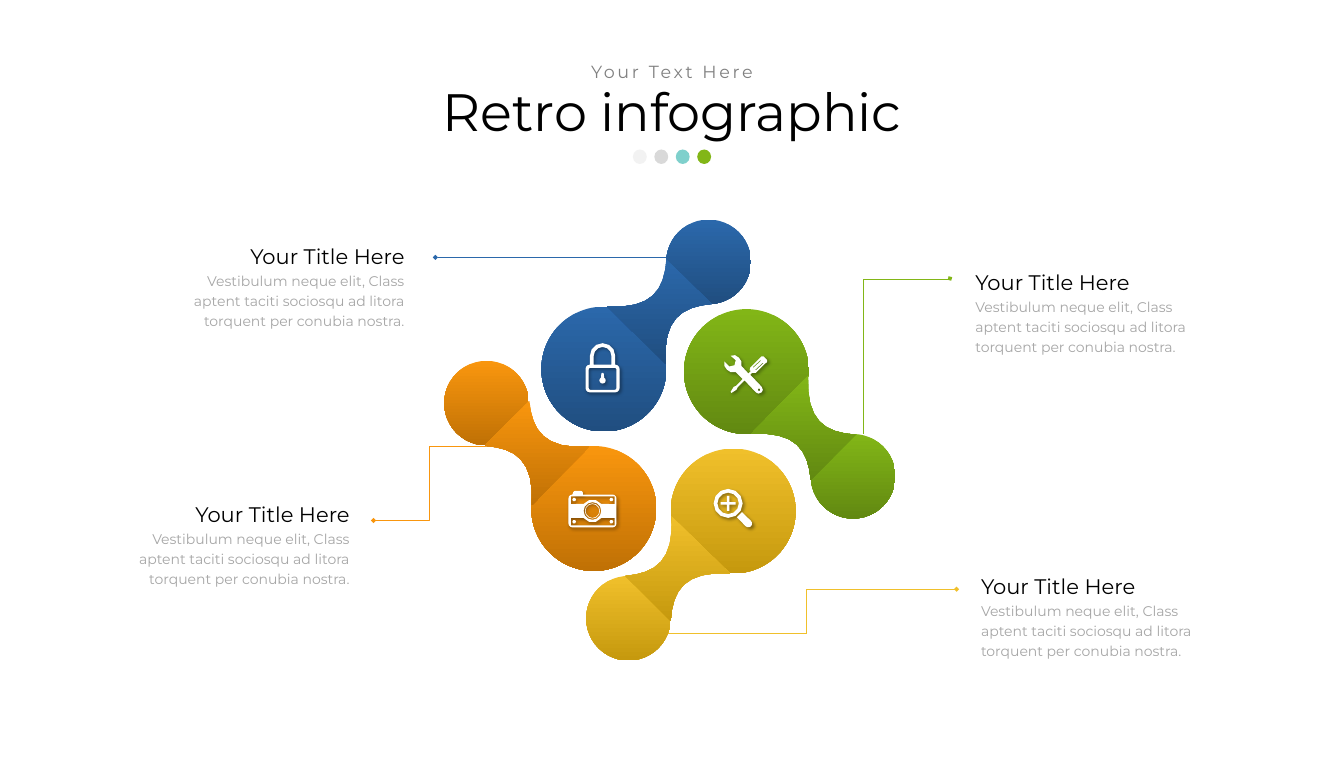
from math import cos, radians, sin

from lxml import etree
from pptx import Presentation
from pptx.dml.color import RGBColor
from pptx.enum.dml import MSO_LINE
from pptx.enum.shapes import MSO_CONNECTOR, MSO_SHAPE
from pptx.enum.text import MSO_AUTO_SIZE, PP_ALIGN
from pptx.oxml.ns import qn
from pptx.util import Inches, Pt

FONT = "Montserrat"
BLACK = RGBColor(0x00, 0x00, 0x00)
WHITE = RGBColor(0xFF, 0xFF, 0xFF)
GREY = RGBColor(0x80, 0x80, 0x80)
BODY_GREY = RGBColor(0xA6, 0xA6, 0xA6)
PALE = RGBColor(0xF2, 0xF2, 0xF2)
SILVER = RGBColor(0xD9, 0xD9, 0xD9)
TEAL = RGBColor(0x00, 0xA3, 0x9B)
BLUE = RGBColor(0x2B, 0x68, 0xAB)
DARK_BLUE = RGBColor(0x20, 0x4E, 0x80)
YELLOW = RGBColor(0xF0, 0xC0, 0x2B)
DARK_YELLOW = RGBColor(0xC6, 0x99, 0x0E)
ORANGE = RGBColor(0xF9, 0x96, 0x0E)
DARK_ORANGE = RGBColor(0xC0, 0x71, 0x05)
GREEN = RGBColor(0x82, 0xB6, 0x17)
DARK_GREEN = RGBColor(0x62, 0x89, 0x11)

BODY = ("Vestibulum neque elit, Class aptent taciti sociosqu ad litora "
        "torquent per conubia nostra.")
NECK_SIZE = 1.66
NECK_CURVES = [
    [(0.93, 1.66), (0.88, 0.95), (1.18, 0.75), (1.66, 0.71)],
    [(0.94, 0), (0.91, 0.49), (0.72, 0.79), (0, 0.75)],
]


def arc(cx, cy, r, start=0, end=360, step=30):
    steps = max(2, round(abs(end - start) / step))
    angles = [radians(start + (end - start) * i / steps) for i in range(steps + 1)]
    return [(cx + r * cos(a), cy + r * sin(a)) for a in angles]


def round_rect(x0, y0, x1, y1, r):
    return (arc(x1 - r, y1 - r, r, 0, 90) + arc(x0 + r, y1 - r, r, 90, 180)
            + arc(x0 + r, y0 + r, r, 180, 270) + arc(x1 - r, y0 + r, r, 270, 360))


def bezier(points, steps=8):
    result = []
    for i in range(steps + 1):
        t = i / steps
        weights = ((1 - t) ** 3, 3 * t * (1 - t) ** 2, 3 * t * t * (1 - t), t ** 3)
        result.append(tuple(sum(w * p[k] for w, p in zip(weights, points)) for k in (0, 1)))
    return result


def add_outline(s, contours):
    scaled = [[(Inches(x), Inches(y)) for x, y in c] for c in contours]
    builder = s.shapes.build_freeform(*scaled[0][0])
    for i, contour in enumerate(scaled):
        if i:
            builder.move_to(*contour[0])
        builder.add_line_segments(contour[1:], close=True)
    sp = builder.convert_to_shape()
    sp.shadow.inherit = False
    sp.line.fill.background()
    return sp


def add_circle(s, x, y, w, h):
    sp = s.shapes.add_shape(MSO_SHAPE.OVAL, Inches(x), Inches(y), Inches(w), Inches(h))
    sp.shadow.inherit = False
    sp.line.fill.background()
    return sp


def fill_solid(sp, color):
    sp.fill.solid()
    sp.fill.fore_color.rgb = color


def fill_gradient(sp, colors):
    sp.fill.gradient()
    sp.fill.gradient_angle = 270
    for stop, color in zip(sp.fill.gradient_stops, colors):
        stop.color.rgb = color


def add_dot(s, x, color, alpha):
    sp = add_circle(s, x, 2.37, 0.22, 0.23)
    fill_solid(sp, color)
    clr = sp._element.spPr.find(qn("a:solidFill"))[0]
    etree.SubElement(clr, qn("a:alpha"), val=str(alpha * 1000))


def add_blob(s, big, small, neck, turns, colors):
    curves = NECK_CURVES
    for _ in range(turns):
        curves = [[(NECK_SIZE - y, x) for x, y in c] for c in curves]
    outline = [(neck[0] + x, neck[1] + y) for c in curves for x, y in bezier(c)]
    parts = [add_circle(s, *big, 1.98, 1.98), add_circle(s, *small, 1.34, 1.34),
             add_outline(s, [outline])]
    for sp in parts:
        fill_gradient(sp, colors)


def add_icon(s, contours):
    sp = add_outline(s, contours)
    fill_solid(sp, WHITE)
    effects = sp._element.spPr.find(qn("a:effectLst"))
    shadow = etree.SubElement(effects, qn("a:outerShdw"), blurRad=str(Pt(4)),
                              dist=str(Pt(3)), dir="2700000", algn="tl", rotWithShape="0")
    clr = etree.SubElement(shadow, qn("a:srgbClr"), val=str(BLACK))
    etree.SubElement(clr, qn("a:alpha"), val="40000")


def camera():
    outline = (arc(9.71, 8.3, 0.06, 0, 90) + arc(9.07, 8.3, 0.06, 90, 180)
               + arc(9.07, 7.9, 0.06, 180, 270) + arc(9.12, 7.82, 0.04, 180, 270)
               + arc(9.2, 7.82, 0.04, 270, 360) + [(9.24, 7.84)]
               + arc(9.71, 7.9, 0.06, 270, 360))
    top = arc(9.39, 8.1, 0.18, 218, 322) + [(9.74, 7.99), (9.74, 7.87), (9.05, 7.87), (9.05, 7.99)]
    bottom = [(x, 16.2 - y) for x, y in top]
    lens = [arc(9.39, 8.1, r) for r in (0.14, 0.12, 0.11)]
    screws = [arc(x, y, 0.03, step=60) for x in (9.1, 9.69) for y in (7.92, 8.27)]
    return [outline, top, bottom] + lens + screws


def magnifier():
    cx, cy, a, b = 11.54, 7.98, 0.12, 0.02
    plus = [(-a, -b), (-b, -b), (-b, -a), (b, -a), (b, -b), (a, -b),
            (a, b), (b, b), (b, a), (-b, a), (-b, b), (-a, b)]
    handle = [(11.76, 8.12)] + arc(11.86, 8.3, 0.06, -45, 135) + [(11.68, 8.2)]
    return [arc(cx, cy, 0.23), arc(cx, cy, 0.17), [(cx + x, cy + y) for x, y in plus], handle]


def padlock():
    shackle = ([(9.35, 5.78)] + arc(9.55, 5.64, 0.2, 180, 360) + [(9.75, 5.78), (9.69, 5.78)]
               + arc(9.55, 5.64, 0.14, 360, 180) + [(9.41, 5.78)])
    keyhole = arc(9.55, 6.03, 0.05, -60, 240) + arc(9.55, 5.93, 0.02, 180, 360)
    return [round_rect(9.28, 5.78, 9.82, 6.22, 0.07),
            round_rect(9.33, 5.83, 9.77, 6.18, 0.03), shackle, keyhole]


def tools():
    outline = [
        (12.16, 5.71), (12.1, 5.65), (12.07, 5.65), (12.05, 5.67), (11.89, 5.83),
        (11.88, 5.87), (11.9, 5.88), (11.86, 5.92), (11.75, 5.8), (11.75, 5.73),
        (11.71, 5.67), (11.65, 5.63), (11.58, 5.64), (11.66, 5.71), (11.64, 5.79),
        (11.56, 5.81), (11.48, 5.73), (11.48, 5.8), (11.52, 5.86), (11.58, 5.9),
        (11.66, 5.9), (11.77, 6.01), (11.66, 6.12), (11.63, 6.13), (11.58, 6.21),
        (11.59, 6.23), (11.67, 6.18), (11.69, 6.14), (11.8, 6.03), (11.98, 6.22),
        (12.02, 6.24), (12.07, 6.22), (12.09, 6.18), (12.07, 6.13), (11.89, 5.94),
        (11.92, 5.91), (11.98, 5.91), (12.13, 5.76), (12.16, 5.74)]
    slit = [(11.98, 5.87), (11.97, 5.86), (12.09, 5.75), (12.1, 5.76)]
    return [outline, slit, [(x - 0.04, y - 0.04) for x, y in slit],
            arc(12.03, 6.18, 0.02, step=60)]


def add_leader(s, kind, start, end, color, turn=0, bend=None):
    cxn = s.shapes.add_connector(kind, *(Inches(v) for v in start + end))
    cxn.line.color.rgb = color
    cxn.line.width = Pt(0.5)
    cxn.line.dash_style = MSO_LINE.ROUND_DOT
    spPr = cxn._element.spPr
    etree.SubElement(spPr.find(qn("a:ln")), qn("a:tailEnd"), type="diamond")
    etree.SubElement(spPr, qn("a:effectLst"))
    if turn:
        spPr.find(qn("a:xfrm")).set("rot", str(turn * 60000))
    if bend:
        guides = spPr.find(qn("a:prstGeom")).find(qn("a:avLst"))
        etree.SubElement(guides, qn("a:gd"), name="adj1", fmla=f"val {bend}")


def add_text(s, box, text, size, color, align, spacing, tracking=0, grow=False):
    tf = s.shapes.add_textbox(*(Inches(v) for v in box)).text_frame
    tf.word_wrap = True
    if grow:
        tf.auto_size = MSO_AUTO_SIZE.SHAPE_TO_FIT_TEXT
    p = tf.paragraphs[0]
    p.alignment = align
    p.line_spacing = spacing
    r = p.add_run()
    r.text = text
    r.font.name = FONT
    r.font.size = Pt(size)
    r.font.color.rgb = color
    if tracking:
        r._r.get_or_add_rPr().set("spc", str(tracking * 100))


def add_callout(s, x, y, align):
    add_text(s, (x, y, 3.66, 0.59), "Your Title Here", 24, BLACK, align, 1.2, grow=True)
    add_text(s, (x, y + 0.49, 3.66, 1.07), BODY, 16, BODY_GREY, align, 1.2, grow=True)


def main():
    prs = Presentation()
    prs.slide_width, prs.slide_height = Inches(21.3), Inches(12)
    s = prs.slides.add_slide(prs.slide_layouts[6])

    elbow, straight = MSO_CONNECTOR.ELBOW, MSO_CONNECTOR.STRAIGHT
    add_leader(s, elbow, (10.4, 10.04), (15.16, 9.34), YELLOW)
    add_leader(s, straight, (10.71, 4.08), (6.9, 4.08), BLUE)
    add_leader(s, elbow, (15.6, 6.33), (13.14, 4.96), GREEN, turn=90, bend=99400)
    add_leader(s, elbow, (7.68, 7.07), (5.92, 8.25), ORANGE)

    add_text(s, (1.02, 1.31, 19.26, 1.03), "Retro infographic", 60, BLACK, PP_ALIGN.CENTER, 0.9)
    add_text(s, (7.48, 0.95, 6.34, 0.35), "Your Text Here", 20, GREY, PP_ALIGN.CENTER, 0.9, 3)
    for i, (color, alpha) in enumerate([(PALE, 100), (SILVER, 98), (TEAL, 50), (GREEN, 100)]):
        add_dot(s, 10.03 + 0.34 * i, color, alpha)

    for x, y, align in [(2.85, 3.73, PP_ALIGN.RIGHT), (15.36, 4.14, PP_ALIGN.LEFT),
                        (15.45, 8.96, PP_ALIGN.LEFT), (1.98, 7.82, PP_ALIGN.RIGHT)]:
        add_callout(s, x, y, align)

    add_blob(s, (8.58, 4.86), (10.56, 3.48), (9.62, 4.11), 0, (BLUE, DARK_BLUE))
    add_blob(s, (10.63, 7.11), (9.29, 9.13), (9.91, 8.18), 2, (YELLOW, DARK_YELLOW))
    add_blob(s, (8.42, 7.07), (7.04, 5.72), (7.68, 6.35), 3, (ORANGE, DARK_ORANGE))
    add_blob(s, (10.84, 4.9), (12.85, 6.88), (11.9, 5.95), 1, (GREEN, DARK_GREEN))
    for icon in (camera, magnifier, tools, padlock):
        add_icon(s, icon())

    prs.save("out.pptx")


if __name__ == "__main__":
    main()
